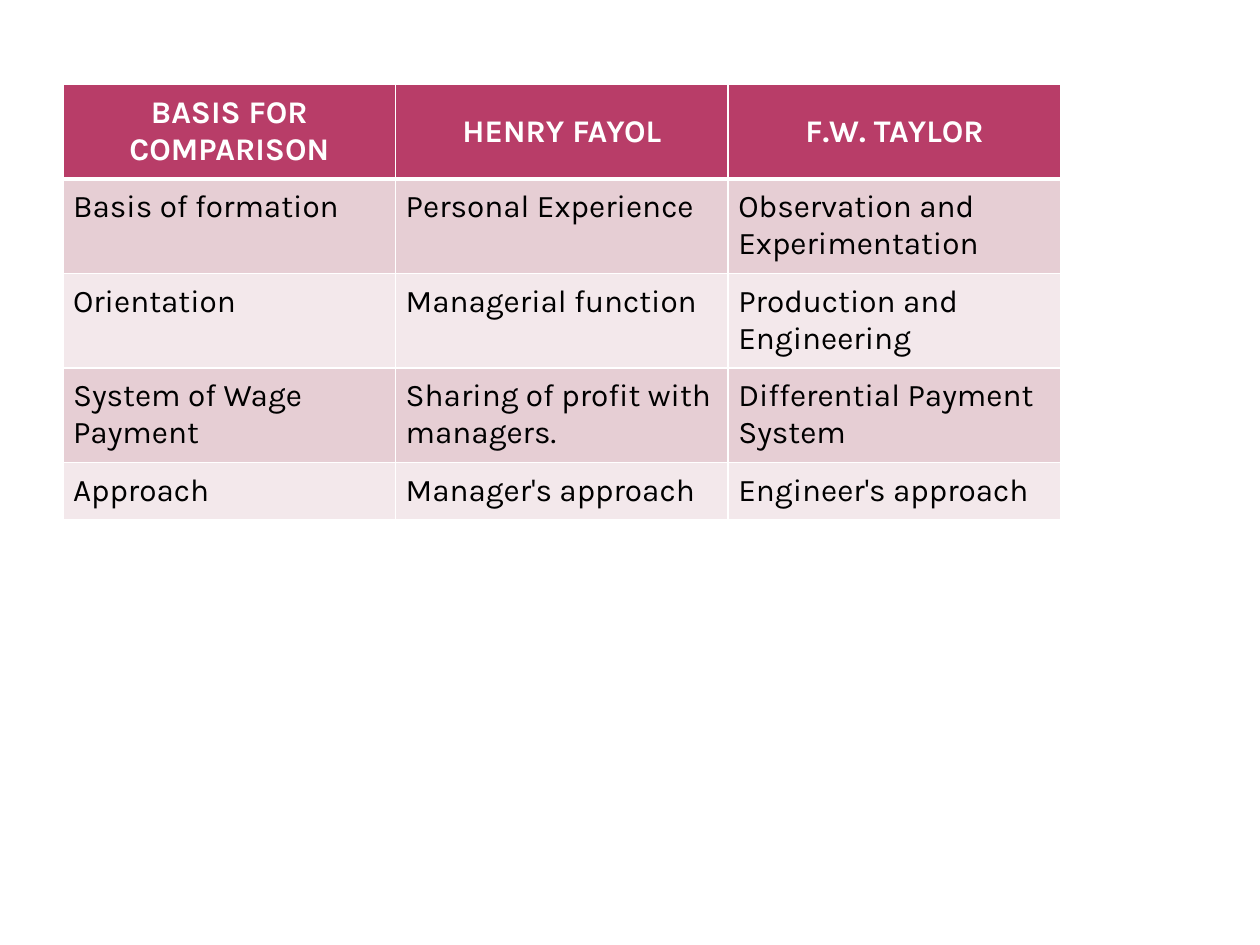
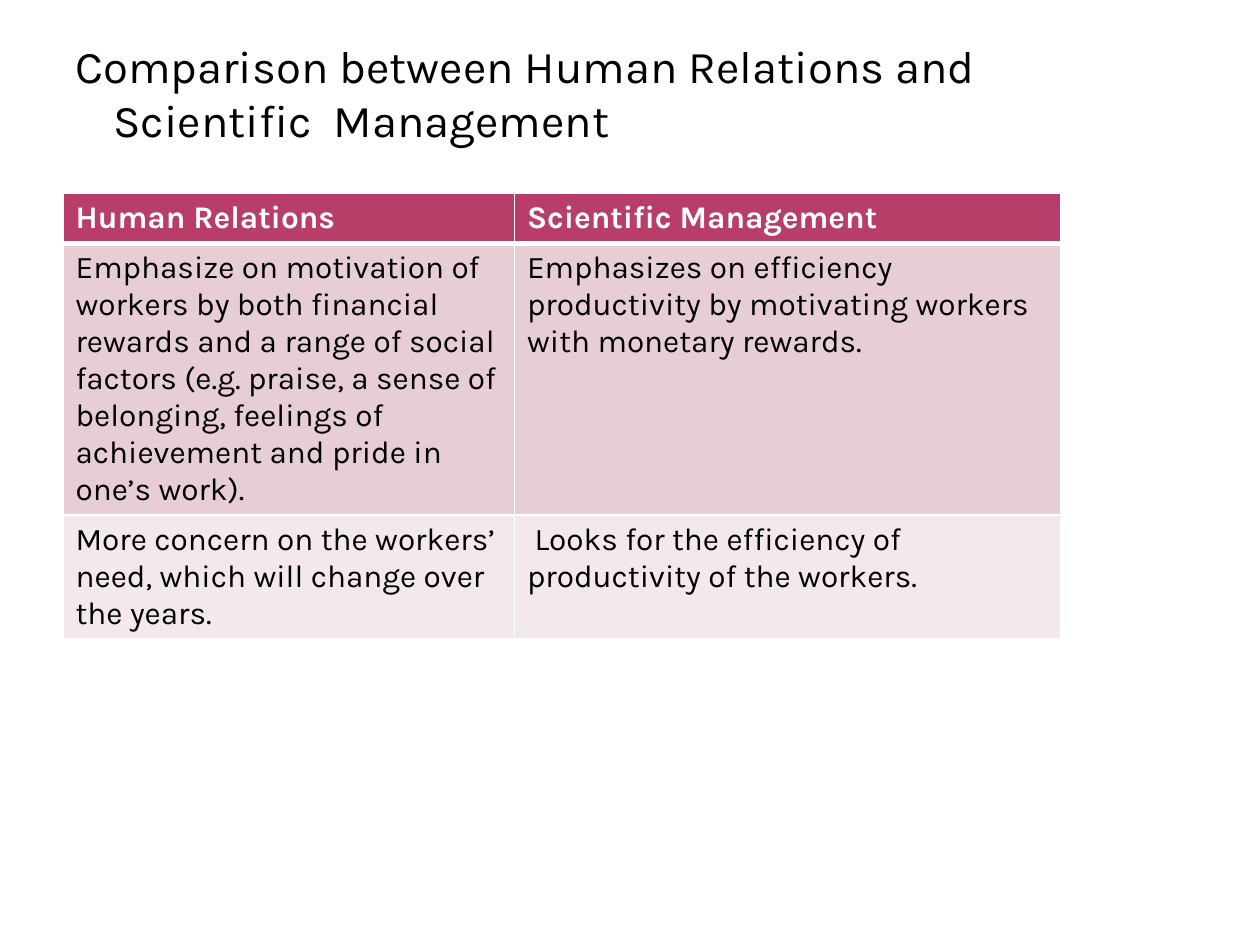
from lxml.etree import SubElement
from pptx import Presentation
from pptx.dml.color import RGBColor
from pptx.enum.text import MSO_ANCHOR, MSO_AUTO_SIZE, PP_ALIGN
from pptx.oxml.ns import qn
from pptx.util import Pt

FONT = "Karla"
WHITE = RGBColor(0xFF, 0xFF, 0xFF)
BLACK = RGBColor(0, 0, 0)
HEADER = RGBColor(0xB8, 0x3D, 0x68)
BANDS = RGBColor(0xE6, 0xCE, 0xD4), RGBColor(0xF3, 0xE8, 0xEB)

TITLE_ONLY, BLANK = 5, 6
LEFT, WIDTH = 36, 570.24

THINKERS = [
    ["BASIS FOR COMPARISON", "HENRY FAYOL", "F.W. TAYLOR"],
    ["Basis of formation", "Personal Experience", "Observation and Experimentation"],
    ["Orientation", "Managerial function", "Production and Engineering"],
    ["System of Wage Payment", "Sharing of profit with managers.",
     "Differential Payment System"],
    ["Approach", "Manager's approach", "Engineer's approach"],
]
SCHOOLS = [
    ["Human Relations", "Scientific Management"],
    ["Emphasize on motivation of workers by both financial rewards and a range "
     "of social factors (e.g. praise, a sense of belonging, feelings of "
     "achievement and pride in one’s work).",
     "Emphasizes on efficiency productivity by motivating workers with "
     "monetary rewards."],
    ["More concern on the workers’ need, which will change over the years.",
     " Looks for the efficiency of productivity of the workers."],
]


def write_text(frame, text, size=18, color=BLACK, bold=False, align=PP_ALIGN.LEFT):
    """Put one formatted paragraph in a text frame and return it."""
    para = frame.paragraphs[0]
    para.alignment = align
    span = para.add_run()
    span.text = text
    span.font.name = FONT
    span.font.size = Pt(size)
    span.font.bold = bold
    span.font.color.rgb = color
    return para


def add_title(page, text):
    """Top-aligned title with a hanging indent."""
    title = page.shapes.title
    title.left, title.top, title.width, title.height = map(Pt, (LEFT, 18, WIDTH, 84))
    frame = title.text_frame
    frame.word_wrap = True
    frame.auto_size = MSO_AUTO_SIZE.NONE
    frame.vertical_anchor = MSO_ANCHOR.TOP
    para = write_text(frame, text, size=26)
    para.space_before = Pt(3)
    properties = para._p.get_or_add_pPr()
    properties.set("marL", str(Pt(21.6)))
    properties.set("indent", str(-Pt(21.6)))


def set_borders(cell, top=1, bottom=1):
    """White cell borders, which must come before the fill."""
    properties = cell._tc.get_or_add_tcPr()
    for side, width in (("L", 1), ("R", 1), ("T", top), ("B", bottom)):
        line = SubElement(properties, qn(f"a:ln{side}"), w=str(Pt(width)))
        fill = SubElement(line, qn("a:solidFill"))
        SubElement(fill, qn("a:srgbClr"), val=str(WHITE))


def add_comparison(page, rows, top, widths, heights, margins, centred_header=False):
    """Table with a strong header row and alternating bands below it."""
    table = page.shapes.add_table(
        len(rows), len(widths), Pt(LEFT), Pt(top), Pt(sum(widths)), Pt(sum(heights))
    ).table
    for column, width in zip(table.columns, widths):
        column.width = Pt(width)
    for row, height in zip(table.rows, heights):
        row.height = Pt(height)

    side_margin, end_margin = map(Pt, margins)
    for r, texts in enumerate(rows):
        is_header = r == 0
        centred = is_header and centred_header
        for c, text in enumerate(texts):
            cell = table.cell(r, c)
            cell.margin_left = cell.margin_right = side_margin
            cell.margin_top = cell.margin_bottom = end_margin
            cell.vertical_anchor = MSO_ANCHOR.MIDDLE if centred else MSO_ANCHOR.TOP
            set_borders(cell, top=3 if r == 1 else 1, bottom=3 if is_header else 1)
            cell.fill.solid()
            cell.fill.fore_color.rgb = HEADER if is_header else BANDS[(r - 1) % 2]
            write_text(cell.text_frame, text, bold=is_header,
                       color=WHITE if is_header else BLACK,
                       align=PP_ALIGN.CENTER if centred else PP_ALIGN.LEFT)


def main():
    deck = Presentation()
    deck.slide_width, deck.slide_height = Pt(720), Pt(540)

    # Two thinkers compared
    page = deck.slides.add_slide(deck.slide_layouts[BLANK])
    add_comparison(page, THINKERS, top=48.24, widths=[WIDTH / 3] * 3,
                   heights=[54] * 4 + [33], margins=(5.76, 5.76),
                   centred_header=True)

    # Two schools compared
    page = deck.slides.add_slide(deck.slide_layouts[TITLE_ONLY])
    add_title(page, "Comparison between Human Relations and Scientific  Management")
    add_comparison(page, SCHOOLS, top=110.16, widths=[258, WIDTH - 258],
                   heights=[29, 155, 70], margins=(7.2, 3.6))

    deck.save("out.pptx")


if __name__ == "__main__":
    main()
